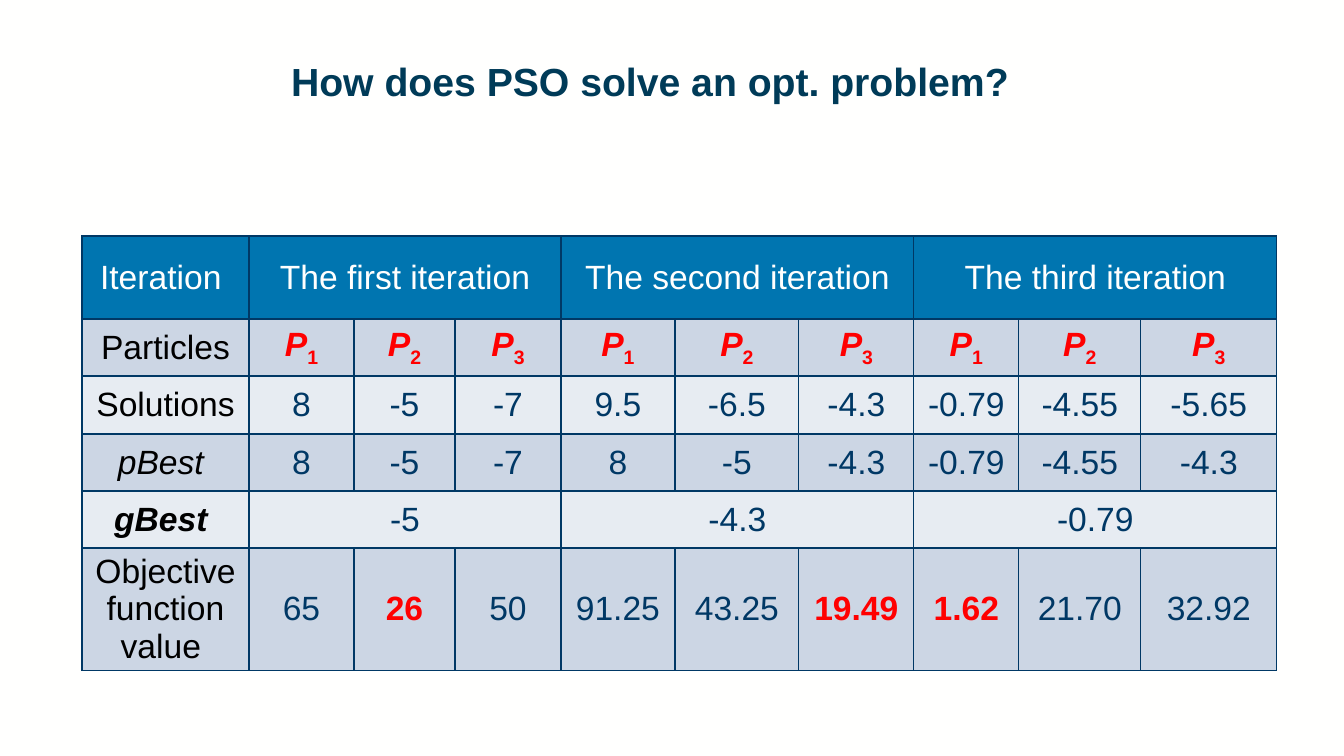
from dataclasses import dataclass

from lxml.etree import SubElement
from pptx import Presentation
from pptx.dml.color import RGBColor
from pptx.enum.text import MSO_ANCHOR as Anchor, PP_ALIGN as Align
from pptx.oxml.ns import qn
from pptx.util import Pt

TITLE = "How does PSO solve an opt. problem?"
ITERATIONS = ["The first iteration", "The second iteration", "The third iteration"]
PARTICLES = ["1", "2", "3"]
ROWS = [
    ["Iteration ", *ITERATIONS],
    ["Particles", *PARTICLES * len(ITERATIONS)],
    ["Solutions", "8", "-5", "-7", "9.5", "-6.5", "-4.3", "-0.79", "-4.55", "-5.65"],
    ["pBest ", "8", "-5", "-7", "8", "-5", "-4.3", "-0.79", "-4.55", "-4.3"],
    ["gBest ", "-5", "-4.3", "-0.79"],
    ["Objective function value ", "65", "26", "50", "91.25", "43.25", "19.49",
     "1.62", "21.70", "32.92"],
]
BEST_VALUES = {"26", "19.49", "1.62"}
HEADER_ROW, PARTICLE_ROW = 0, 1
ITALIC_LABELS = {"pBest ", "gBest "}
BOLD_LABELS = {"gBest "}

SLIDE_SIZE = (1344, 756)
TITLE_BOX = (281, 58, 1015, 98)
TABLE_CORNER = (82, 236)
COLUMN_WIDTHS = [167, 105, 101, 106, 114, 124, 115, 105, 122, 136]
ROW_HEIGHTS = [83, 57, 58, 57, 57, 122]
EMU_PER_PX = 914400 / 100.8


@dataclass(frozen=True)
class Theme:
    font: str = "Arial"
    title_size: int = 28
    table_size: int = 24
    background: str = "FFFFFE"
    title: str = "003B58"
    header: str = "0075B0"
    dark_band: str = "CCD6E4"
    light_band: str = "E7ECF2"
    label: str = "000000"
    value: str = "003865"
    accent: str = "FF0000"


THEME = Theme()


def px(length):
    return round(length * EMU_PER_PX)


def rgb(color):
    return RGBColor.from_string(color)


def set_font(paragraph, size, color, bold=False, italic=False):
    font = paragraph.font
    font.name, font.size = THEME.font, Pt(size)
    font.color.rgb = rgb(color)
    font.bold, font.italic = bold, italic


def add_borders(cell):
    properties = cell._tc.get_or_add_tcPr()
    for side in ("lnL", "lnR", "lnT", "lnB"):
        line = SubElement(properties, qn(f"a:{side}"), w=str(Pt(1)))
        fill = SubElement(line, qn("a:solidFill"))
        SubElement(fill, qn("a:srgbClr"), val=THEME.value)


def add_particle_name(paragraph, number):
    letter = paragraph.add_run()
    letter.text = "P"
    letter.font.italic = True
    subscript = paragraph.add_run()
    subscript.text = number
    subscript._r.get_or_add_rPr().set("baseline", "-25000")


def write_cell(cell, text, row, is_label):
    cell.vertical_anchor = Anchor.MIDDLE
    paragraph = cell.text_frame.paragraphs[0]
    paragraph.alignment = Align.CENTER
    is_particle = row == PARTICLE_ROW and not is_label
    is_best = is_particle or text in BEST_VALUES
    if row == HEADER_ROW:
        color = THEME.background
    elif is_label:
        color = THEME.label
    else:
        color = THEME.accent if is_best else THEME.value
    set_font(paragraph, THEME.table_size, color,
             is_best or text in BOLD_LABELS, text in ITALIC_LABELS)
    if is_particle:
        add_particle_name(paragraph, text)
    else:
        paragraph.add_run().text = text


def add_title(slide):
    title = slide.shapes.title
    title.left, title.top, title.width, title.height = map(px, TITLE_BOX)
    frame = title.text_frame
    frame.word_wrap = True
    frame.vertical_anchor = Anchor.TOP
    frame.text = TITLE
    paragraph = frame.paragraphs[0]
    paragraph.alignment = Align.LEFT
    paragraph.line_spacing = 0.9
    set_font(paragraph, THEME.title_size, THEME.title, bold=True)


def add_iteration_table(slide):
    size = (sum(COLUMN_WIDTHS), sum(ROW_HEIGHTS))
    table = slide.shapes.add_table(len(ROWS), len(COLUMN_WIDTHS),
                                   *map(px, TABLE_CORNER + size)).table
    table.horz_banding = False
    for column, width in zip(table.columns, COLUMN_WIDTHS):
        column.width = px(width)
    for row, (texts, height) in enumerate(zip(ROWS, ROW_HEIGHTS)):
        table.rows[row].height = px(height)
        band = THEME.dark_band if row % 2 else THEME.light_band
        for cell in table.rows[row].cells:
            add_borders(cell)
            cell.fill.solid()
            cell.fill.fore_color.rgb = rgb(THEME.header if row == HEADER_ROW else band)
        write_cell(table.cell(row, 0), texts[0], row, is_label=True)
        span = (len(COLUMN_WIDTHS) - 1) // (len(texts) - 1)
        for index, text in enumerate(texts[1:]):
            first = 1 + index * span
            cell = table.cell(row, first)
            if span > 1:
                cell.merge(table.cell(row, first + span - 1))
            write_cell(cell, text, row, is_label=False)


def main():
    presentation = Presentation()
    presentation.slide_width, presentation.slide_height = map(px, SLIDE_SIZE)
    slide = presentation.slides.add_slide(presentation.slide_layouts[5])
    slide.background.fill.solid()
    slide.background.fill.fore_color.rgb = rgb(THEME.background)
    add_title(slide)
    add_iteration_table(slide)
    presentation.save("out.pptx")


if __name__ == "__main__":
    main()
